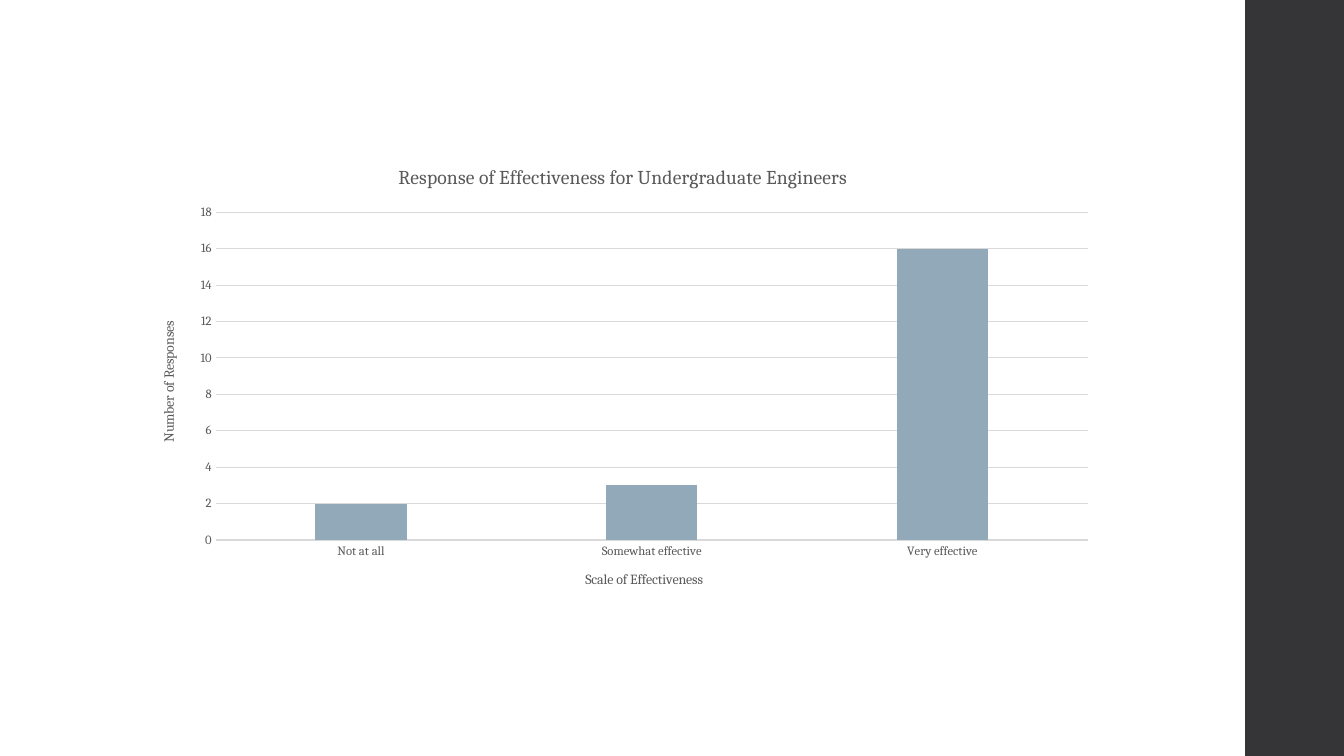
from pptx import Presentation
from pptx.chart.data import CategoryChartData
from pptx.dml.color import RGBColor
from pptx.enum.chart import XL_CHART_TYPE, XL_TICK_MARK
from pptx.enum.shapes import MSO_SHAPE
from pptx.util import Inches, Pt

FONT = "Cambria"
TEXT = "595959"
RULE = "D9D9D9"


def rgb(value):
    return RGBColor.from_string(value)


def style_font(font, size, color=TEXT):
    font.name = FONT
    font.size = Pt(size)
    font.bold = False
    font.color.rgb = rgb(color)


def style_line(line):
    line.color.rgb = rgb(RULE)
    line.width = Pt(0.75)


def set_title(title, text, size):
    tf = title.text_frame
    tf.text = text
    style_font(tf.paragraphs[0].font, size)


def style_axis(axis, title):
    axis.major_tick_mark = XL_TICK_MARK.NONE
    axis.minor_tick_mark = XL_TICK_MARK.NONE
    style_font(axis.tick_labels.font, 9)
    set_title(axis.axis_title, title, 10)


def add_side_band(slide):
    sp = slide.shapes.add_shape(
        MSO_SHAPE.RECTANGLE, Inches(12.35), Inches(0), Inches(1), Inches(7.5))
    sp.shadow.inherit = False
    sp.fill.solid()
    sp.fill.fore_color.rgb = rgb("353537")
    sp.line.fill.background()


def add_response_chart(slide):
    data = CategoryChartData()
    data.categories = ["Not at all", "Somewhat effective", "Very effective"]
    data.add_series("Series 1", [2, 3, 16])
    chart = slide.shapes.add_chart(
        XL_CHART_TYPE.COLUMN_CLUSTERED,
        Inches(1.38), Inches(1.45), Inches(9.6), Inches(4.59), data).chart
    style_font(chart.font, 10, "000000")
    chart.has_legend = False
    chart.has_title = True
    set_title(chart.chart_title, "Response of Effectiveness for Undergraduate Engineers", 14)
    chart.chart_title.include_in_layout = False

    style_axis(chart.category_axis, "Scale of Effectiveness")
    style_line(chart.category_axis.format.line)

    value_axis = chart.value_axis
    style_axis(value_axis, "Number of Responses")
    value_axis.format.line.fill.background()
    value_axis.minimum_scale = 0
    value_axis.maximum_scale = 18
    value_axis.major_unit = 2
    style_line(value_axis.major_gridlines.format.line)

    plot = chart.plots[0]
    plot.gap_width = 219
    plot.overlap = -27
    plot.vary_by_categories = False
    fill = plot.series[0].format.fill
    fill.solid()
    fill.fore_color.rgb = rgb("92A9B9")


def main():
    prs = Presentation()
    prs.slide_width = Inches(13.33)
    prs.slide_height = Inches(7.5)
    slide = prs.slides.add_slide(prs.slide_layouts[6])
    add_side_band(slide)
    add_response_chart(slide)
    prs.save("out.pptx")


if __name__ == "__main__":
    main()
